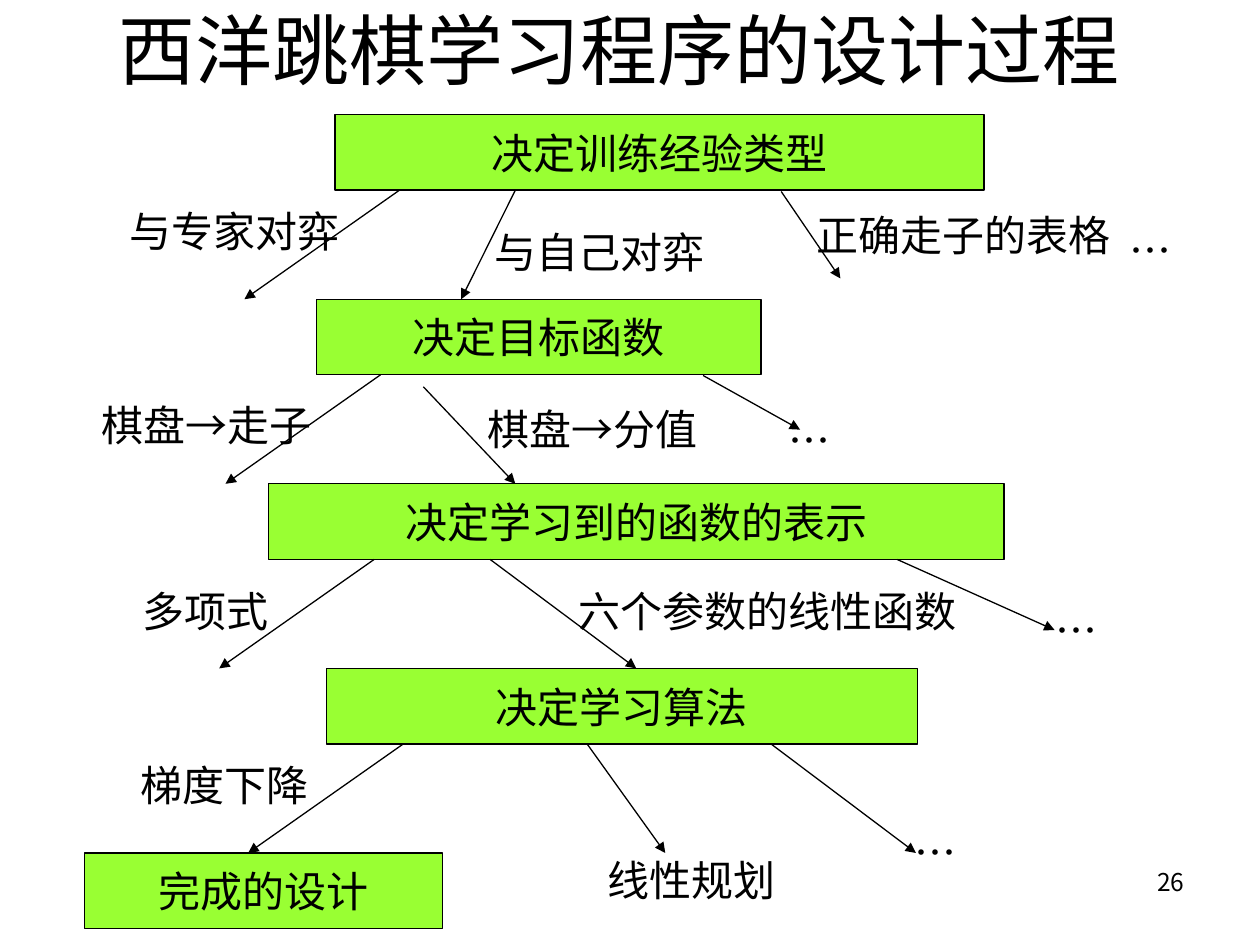
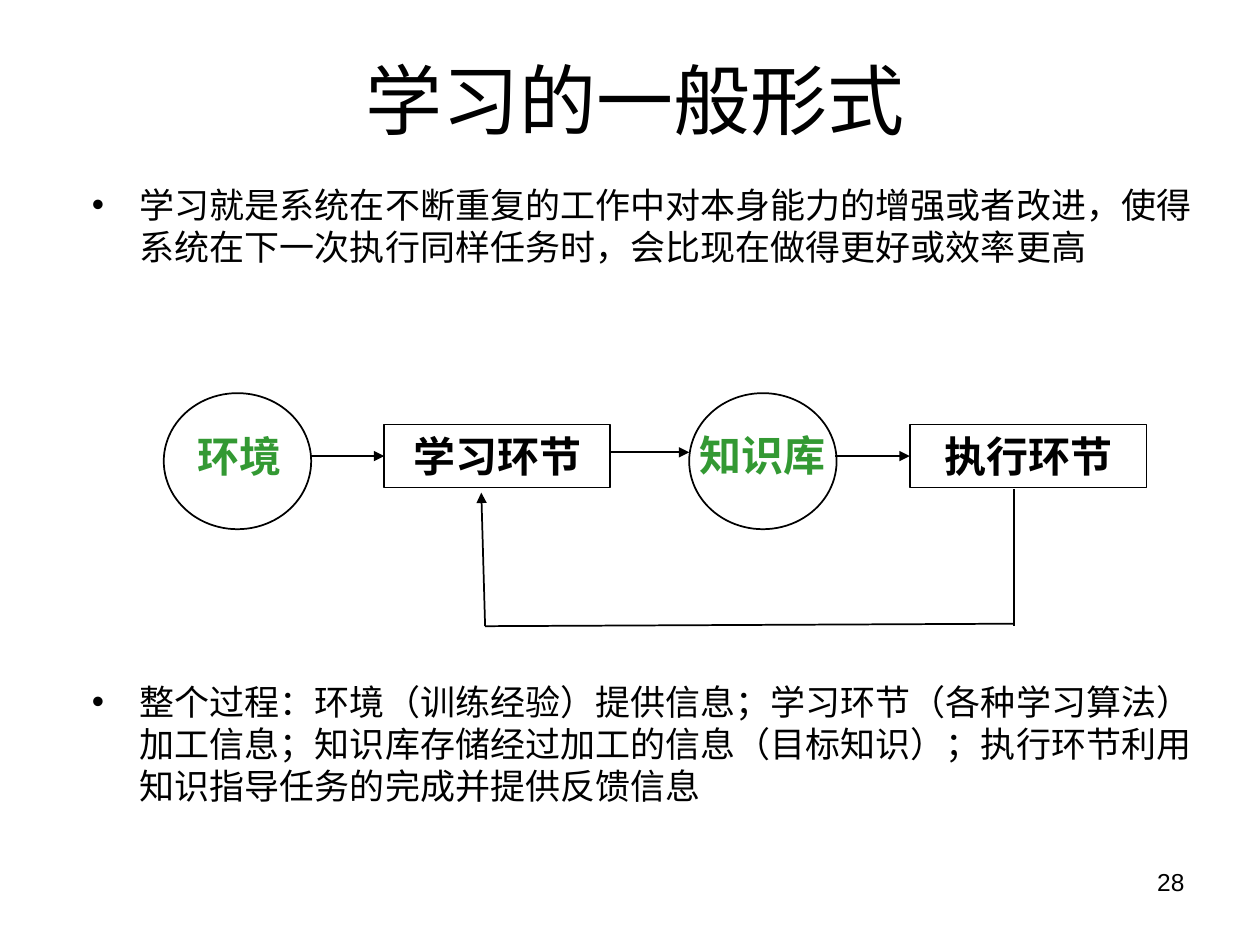
from dataclasses import dataclass

from lxml.etree import SubElement
from pptx import Presentation
from pptx.dml.color import RGBColor
from pptx.enum.shapes import MSO_CONNECTOR as Connector, MSO_SHAPE as Preset
from pptx.enum.text import MSO_ANCHOR as Anchor, MSO_AUTO_SIZE as AutoSize, PP_ALIGN as Align
from pptx.oxml.ns import qn
from pptx.util import Inches, Pt

BLACK = "000000"
STEP_GREEN = "99FF33"
STORE_GREEN = "339933"
CJK = "Noto Sans CJK SC"
LATIN = "Arial"

STEP_TOP = 0.91
STEP_PITCH = 1.465
STEP_HEIGHT = 0.6
LABEL_HEIGHT = 0.5


@dataclass(frozen=True)
class Box:
    left: float
    top: float
    width: float
    height: float


@dataclass(frozen=True)
class Style:
    size: float
    font: str = CJK
    color: str = BLACK
    bold: bool = False
    align: Align = Align.LEFT
    anchor: Anchor = Anchor.TOP
    wrap: bool = True
    margins: tuple[float, float] = (0.1, 0.05)


@dataclass(frozen=True)
class Arrow:
    start: tuple[float, float]
    end: tuple[float, float]
    head: bool = True


@dataclass(frozen=True)
class Choice:
    text: str
    left: float
    top: float
    width: float


@dataclass(frozen=True)
class Step:
    text: str
    left: float
    width: float
    arrows: tuple[tuple[float, float], ...] = ()
    choices: tuple[Choice, ...] = ()


@dataclass(frozen=True)
class Stage:
    text: str
    preset: Preset
    outline: Box
    label: Box
    style: Style


TITLE = Style(44, align=Align.CENTER, anchor=Anchor.BOTTOM, margins=(0, 0))
STEP = Style(24, align=Align.CENTER, anchor=Anchor.MIDDLE, wrap=False, margins=(0, 0))
CHOICE = Style(24, wrap=False)
BODY = Style(20)
STORE = Style(24, "Roboto", STORE_GREEN, True)
PROCESS = Style(24, "Noto Sans CJK JP", BLACK, True, Align.CENTER)

STEPS = (
    Step("决定训练经验类型", 2.66, 5.15, ((3.17, 1.94), (4.09, 3.66)), (
        Choice("与专家对弈", 0.93, 1.58, 1.86),
        Choice("与自己对弈", 3.83, 1.75, 1.86),
        Choice("正确走子的表格", 6.38, 1.61, 2.53),
        Choice("…", 8.87, 1.73, 0.46))),
    Step("决定目标函数", 2.51, 3.53, ((3.02, 1.79),), (
        Choice("棋盘→走子", 0.71, 3.12, 1.86),
        Choice("棋盘→分值", 3.77, 3.15, 1.86),
        Choice("…", 6.16, 3.24, 0.46))),
    Step("决定学习到的函数的表示", 2.13, 5.84, ((2.97, 1.74), (3.89, 5.05)), (
        Choice("多项式", 1.03, 4.6, 1.2),
        Choice("六个参数的线性函数", 4.49, 4.6, 3.2),
        Choice("…", 8.28, 4.75, 0.46))),
    Step("决定学习算法", 2.59, 4.69, ((3.2, 1.97), (4.66, 5.28), (6.12, 7.27)), (
        Choice("梯度下降", 1.02, 5.98, 1.53),
        Choice("线性规划", 4.72, 6.73, 1.53),
        Choice("…", 7.16, 6.51, 0.46))),
    Step("完成的设计", 0.67, 2.84),
)
SHORT_ARROWS = (
    Arrow((6.2, 1.52), (6.67, 2.21)),
    Arrow((3.36, 3.07), (4.09, 3.84)),
    Arrow((5.58, 2.98), (6.35, 3.41)),
    Arrow((7.12, 4.44), (8.37, 5)),
)

LEARNING_BOX = Box(3.05, 3.37, 1.79, 0.5)
ACTING_BOX = Box(7.22, 3.37, 1.88, 0.5)
STAGES = (
    Stage("环境", Preset.OVAL, Box(1.3, 3.12, 1.17, 1.08), Box(1.47, 3.37, 1.08, 0.5), STORE),
    Stage("学习环节", Preset.RECTANGLE, LEARNING_BOX, LEARNING_BOX, PROCESS),
    Stage("知识库", Preset.OVAL, Box(5.47, 3.12, 1.17, 1.08), Box(5.45, 3.36, 1.43, 0.5), STORE),
    Stage("执行环节", Preset.RECTANGLE, ACTING_BOX, ACTING_BOX, PROCESS),
)
FLOWS = (
    Arrow((2.47, 3.62), (3.05, 3.62)),
    Arrow((4.84, 3.59), (5.47, 3.59)),
    Arrow((6.63, 3.62), (7.22, 3.62)),
    Arrow((8.05, 3.88), (8.05, 4.97), False),
    Arrow((8.05, 4.95), (3.85, 4.97), False),
    Arrow((3.85, 4.97), (3.82, 3.91)),
)
POINTS = (
    "学习就是系统在不断重复的工作中对本身能力的增强或者改进，使得系统在下一次执行同样任务时，会比现在做得更好或效率更高",
    "整个过程：环境（训练经验）提供信息；学习环节（各种学习算法）加工信息；知识库存储经过加工的信息（目标知识）；执行环节利用知识指导任务的完成并提供反馈信息",
)


def rgb(color: str) -> RGBColor:
    return RGBColor.from_string(color)


def place(box: Box) -> list[int]:
    return [Inches(value) for value in (box.left, box.top, box.width, box.height)]


def write(shape, lines: tuple[str, ...], style: Style) -> None:
    frame = shape.text_frame
    frame.text = "\n".join(lines)
    frame.word_wrap = style.wrap
    frame.auto_size = AutoSize.NONE
    frame.vertical_anchor = style.anchor
    frame.margin_left = frame.margin_right = Inches(style.margins[0])
    frame.margin_top = frame.margin_bottom = Inches(style.margins[1])
    for paragraph in frame.paragraphs:
        paragraph.alignment = style.align
        for run in paragraph.runs:
            run.font.size = Pt(style.size)
            run.font.bold = style.bold
            run.font.name = style.font
            run.font.color.rgb = rgb(style.color)
            SubElement(run.font._element, qn("a:ea"), typeface=CJK)


def add_text(slide, box: Box, style: Style, *lines: str):
    text = slide.shapes.add_textbox(*place(box))
    write(text, lines, style)
    return text


def add_outline(slide, preset: Preset, box: Box, weight: float, fill: str | None = None):
    outline = slide.shapes.add_shape(preset, *place(box))
    outline.shadow.inherit = False
    if fill:
        outline.fill.solid()
        outline.fill.fore_color.rgb = rgb(fill)
    else:
        outline.fill.background()
    outline.line.color.rgb = rgb(BLACK)
    outline.line.width = Pt(weight)
    return outline


def add_arrow(slide, arrow: Arrow, weight: float) -> None:
    ends = [Inches(value) for value in arrow.start + arrow.end]
    line = slide.shapes.add_connector(Connector.STRAIGHT, *ends)
    line.line.color.rgb = rgb(BLACK)
    line.line.width = Pt(weight)
    if arrow.head:
        SubElement(line.line._get_or_add_ln(), qn("a:tailEnd"), type="triangle")
    SubElement(line._element.spPr, qn("a:effectLst"))


def add_bullets(slide, box: Box, points: tuple[str, ...], gap: float) -> None:
    body = add_text(slide, box, BODY, *points)
    for index, paragraph in enumerate(body.text_frame.paragraphs):
        paragraph.line_spacing = Pt(24)
        paragraph.space_before = Pt(gap if index else 5)
        properties = paragraph._p.get_or_add_pPr()
        properties.set("marL", str(Inches(0.38)))
        properties.set("indent", str(-Inches(0.38)))
        SubElement(properties, qn("a:buFont"), typeface=LATIN)
        SubElement(properties, qn("a:buChar"), char="•")


def add_page(deck, title: str, title_box: Box, title_font: str, number: int, number_font: str):
    slide = deck.slides.add_slide(deck.slide_layouts[6])
    add_text(slide, Box(7.17, 6.83, 2.33, 0.52), Style(14, number_font, align=Align.RIGHT), str(number))
    add_text(slide, title_box, Style(44, title_font, align=TITLE.align, anchor=TITLE.anchor,
                                     margins=TITLE.margins), title)
    return slide


def build_design_process(deck) -> None:
    slide = add_page(deck, "西洋跳棋学习程序的设计过程", Box(0.27, 0.17, 9.29, 0.58), CJK, 26, CJK)
    for index, step in enumerate(STEPS):
        top = STEP_TOP + index * STEP_PITCH
        box = Box(step.left, top, step.width, STEP_HEIGHT)
        write(add_outline(slide, Preset.RECTANGLE, box, 0.75, STEP_GREEN), (step.text,), STEP)
        for start, end in step.arrows:
            add_arrow(slide, Arrow((start, top + STEP_HEIGHT), (end, top + STEP_PITCH)), 0.75)
        for choice in step.choices:
            add_text(slide, Box(choice.left, choice.top, choice.width, LABEL_HEIGHT), CHOICE, choice.text)
    for arrow in SHORT_ARROWS:
        add_arrow(slide, arrow, 0.75)


def build_general_form(deck) -> None:
    slide = add_page(deck, "学习的一般形式", Box(0.67, 0.57, 8.75, 0.58), LATIN, 28, LATIN)
    add_bullets(slide, Box(0.63, 1.41, 9.08, 5.22), POINTS, 236)
    for stage in STAGES:
        add_outline(slide, stage.preset, stage.outline, 1)
        add_text(slide, stage.label, stage.style, stage.text)
    for flow in FLOWS:
        add_arrow(slide, flow, 1)


def main() -> None:
    deck = Presentation()
    deck.slide_width, deck.slide_height = Inches(10), Inches(7.5)
    build_design_process(deck)
    build_general_form(deck)
    deck.save("out.pptx")


if __name__ == "__main__":
    main()
